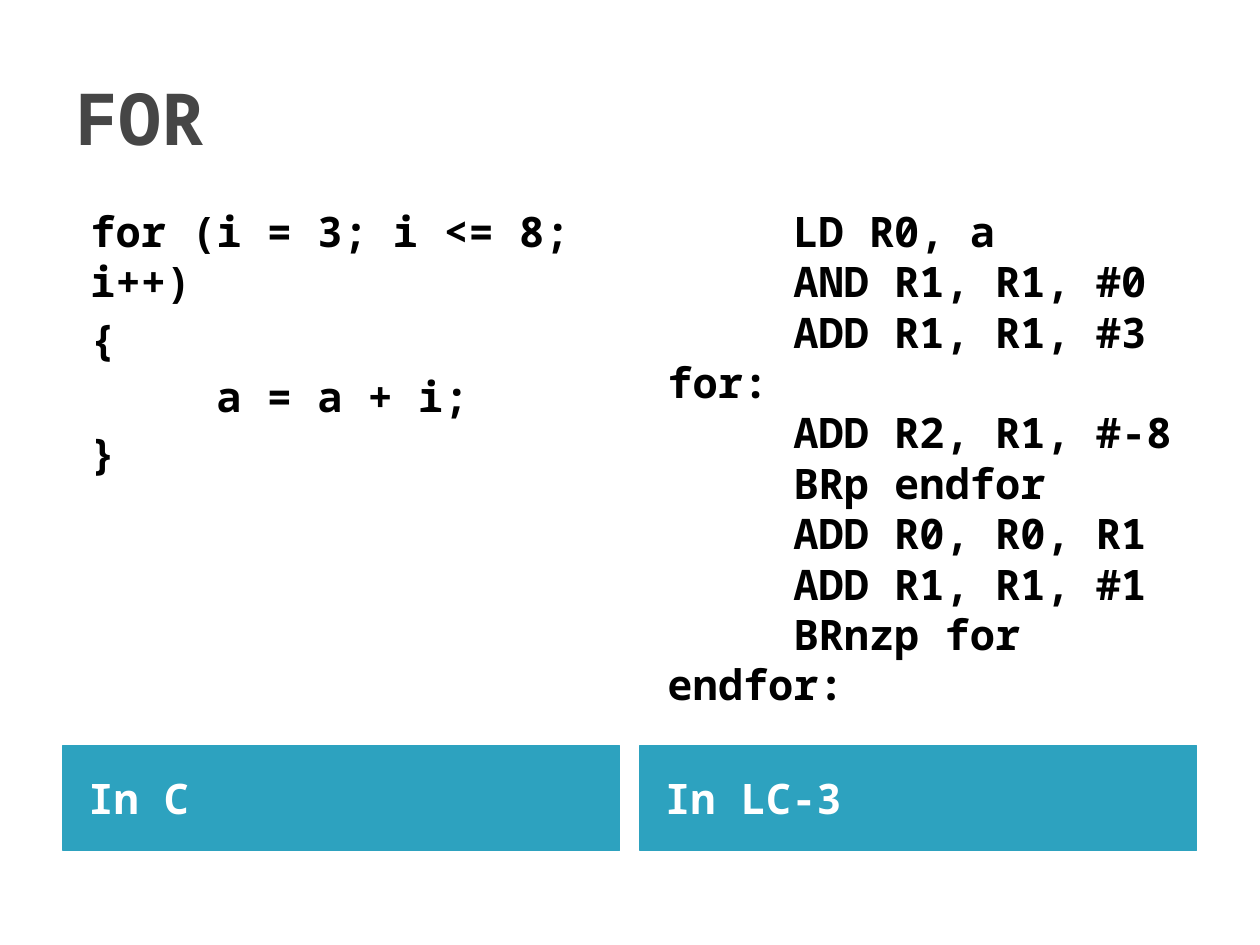
from lxml import etree
from pptx import Presentation
from pptx import util as u
from pptx.dml.color import RGBColor
from pptx.enum import text as t
from pptx.oxml.ns import qn

TEAL = RGBColor(0x2D, 0xA2, 0xBF)
GREY = RGBColor(0x46, 0x46, 0x46)
BLACK = RGBColor(0, 0, 0)
WHITE = RGBColor(0xFF, 0xFF, 0xFF)
FONT = "Noto Sans Mono"

MARGIN, COLUMN_WIDTH, COLUMN_GAP = 1.27, 11.22, 0.41
CODE_TOP, CODE_HEIGHT = 4.01, 10.95
LABEL_TOP, LABEL_HEIGHT = 15.03, 2.12
INDENT, TAB = 0.3, 2.54

C_CODE = ["for (i = 3; i <= 8; i++)", "{", "\ta = a + i;", "}"]
LC3_CODE = [
    "\tLD R0, a", "\tAND R1, R1, #0", "\tADD R1, R1, #3", "for:",
    "\tADD R2, R1, #-8", "\tBRp endfor", "\tADD R0, R0, R1",
    "\tADD R1, R1, #1", "\tBRnzp for", "endfor:",
]


def place(holder, left, top, width, height):
    """Move a placeholder to a box given in centimetres."""
    holder.left, holder.top = u.Cm(left), u.Cm(top)
    holder.width, holder.height = u.Cm(width), u.Cm(height)


def write(holder, lines, size, color, anchor, before=0):
    """Fill a placeholder with bold, left-aligned lines."""
    frame = holder.text_frame
    frame.text = "\n".join(lines)
    frame.word_wrap = True
    frame.auto_size = t.MSO_AUTO_SIZE.NONE
    frame.vertical_anchor = anchor
    for paragraph in frame.paragraphs:
        paragraph.alignment = t.PP_ALIGN.LEFT
        paragraph.space_before = u.Pt(before)
        for run in paragraph.runs:
            run.font.name, run.font.size = FONT, u.Pt(size)
            run.font.bold, run.font.color.rgb = True, color


def indent_code(holder):
    """Replace bullets by a small indent and set the tab distance."""
    for paragraph in holder.text_frame.paragraphs:
        props = paragraph._p.get_or_add_pPr()
        props.set("marL", str(u.Cm(INDENT)))
        props.set("indent", "0")
        props.set("defTabSz", str(u.Cm(TAB)))
        etree.SubElement(props, qn("a:buNone"))


def add_heading(holder):
    """Set the slide title."""
    place(holder, MARGIN, 0.76, 22.86, 3.18)
    write(holder, ["FOR"], 41, GREY, t.MSO_ANCHOR.MIDDLE)


def add_column(label, code, left, caption, lines, before):
    """Place a code listing with its coloured label below, from a left edge."""
    place(code, left, CODE_TOP, COLUMN_WIDTH, CODE_HEIGHT)
    write(code, lines, 24, BLACK, t.MSO_ANCHOR.TOP, before)
    indent_code(code)

    place(label, left, LABEL_TOP, COLUMN_WIDTH, LABEL_HEIGHT)
    label.fill.solid()
    label.fill.fore_color.rgb = TEAL
    label.line.color.rgb = TEAL
    label.line.width = u.Pt(0.76)
    write(label, [caption], 24, WHITE, t.MSO_ANCHOR.MIDDLE, 4)
    label.text_frame.margin_left = u.Cm(0.51)


def build():
    """Build the comparison slide and save it."""
    deck = Presentation()
    deck.slide_width, deck.slide_height = u.Cm(25.4), u.Cm(19.05)
    slide = deck.slides.add_slide(deck.slide_layouts[4])
    title, c_label, c_code, lc3_label, lc3_code = slide.placeholders
    add_heading(title)
    add_column(c_label, c_code, MARGIN, "In C", C_CODE, 4)
    add_column(lc3_label, lc3_code, MARGIN + COLUMN_WIDTH + COLUMN_GAP,
               "In LC-3", LC3_CODE, 0)
    deck.save("out.pptx")


build()
